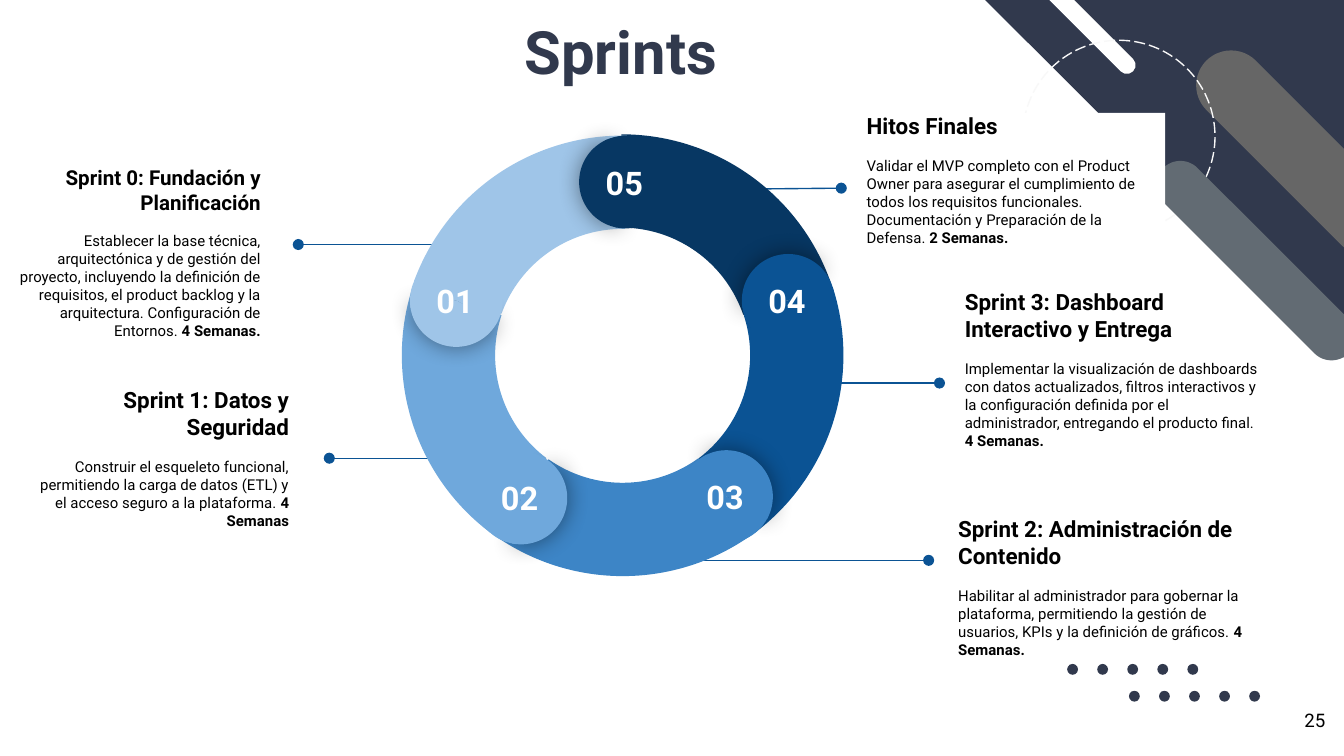
from lxml import etree
from pptx import Presentation
from pptx.dml.color import RGBColor
from pptx.enum.dml import MSO_LINE
from pptx.enum.shapes import MSO_CONNECTOR, MSO_SHAPE
from pptx.enum.text import MSO_ANCHOR, PP_ALIGN
from pptx.oxml.ns import qn
from pptx.util import Pt

FONT = "Roboto"
NAVY, WHITE, BLACK, LINE = "31394D", "FFFFFF", "000000", "0B5394"
SKY, PALE, MID, DEEP, DARK = "6FA8DC", "9FC5E8", "3D85C6", "0B5394", "073763"

# Content: heading, heading size, body, duration, box, alignment, fill, extra bottom inset
SPRINTS = [
    ("Sprint 0: Fundación y Planificación", 11,
     "Establecer la base técnica, arquitectónica y de gestión del proyecto, "
     "incluyendo la definición de requisitos, el product backlog y la "
     "arquitectura. Configuración de Entornos. ", "4 Semanas.",
     (0, 98.6, 146.9, 72.7), PP_ALIGN.RIGHT, None, 0),
    ("Sprint 1: Datos y Seguridad", 12,
     "Construir el esqueleto funcional, permitiendo la carga de datos (ETL) y "
     "el acceso seguro a la plataforma. ", "4 Semanas",
     (12.2, 208.8, 149.8, 72.7), PP_ALIGN.RIGHT, None, 0),
    ("Sprint 2: Administración de Contenido", 12,
     "Habilitar al administrador para gobernar la plataforma, permitiendo la "
     "gestión de usuarios, KPIs y la definición de gráficos. ", "4 Semanas.",
     (506.2, 277.9, 167, 72.7), PP_ALIGN.LEFT, None, 0),
    ("Hitos Finales", 12,
     "Validar el MVP completo con el Product Owner para asegurar el "
     "cumplimiento de todos los requisitos funcionales. Documentación y "
     "Preparación de la Defensa. ", "2 Semanas.",
     (457.2, 60.5, 167, 80.6), PP_ALIGN.LEFT, WHITE, 9.4),
    ("Sprint 3: Dashboard Interactivo y Entrega", 12,
     "Implementar la visualización de dashboards con datos actualizados, "
     "filtros interactivos y la configuración definida por el administrador, "
     "entregando el producto final. ", "4 Semanas.",
     (509.8, 161.3, 175.7, 72.7), PP_ALIGN.LEFT, None, 0),
]
# Leader lines: x1, y1, x2, y2
LEADERS = [
    (237.6, 131, 159.8, 131), (242.6, 245.5, 176.4, 245.5),
    (352.8, 300.2, 497.5, 300.2), (378, 101.5, 450.7, 100.8),
    (429.8, 205.2, 503.3, 205.2),
]
# Ring, back to front: label (None for an arc), left, top, rotation, colour
RING = [
    (None, 215.3, 71.3, 277, SKY), (None, 213.8, 71.3, 132, DEEP),
    (None, 213.8, 72, 60, DARK), ("04", 397.4, 136.1, 67.1, DEEP),
    (None, 214.6, 70.6, 204, MID), ("02", 254.2, 241.9, 211.1, SKY),
    (None, 214.6, 72.7, 350, PALE), ("05", 310.3, 72.7, 357.1, DARK),
    ("03", 364.3, 241.2, 139.1, MID), ("01", 219.6, 136.1, 284.1, PALE),
]
ARC_SIZE, CAP_SIZE = 238, 49.7
ARC_ADJ, CAP_ADJ, BACK_ADJ = (126.02, 168.68, 0.21), (61.9, 149.96), (40.28, 171.84)
# Corner bars: box, colour
BARS = [((625.7, 63.4, 140.4, 37.4), "666666"), ((540, 5.8, 78.5, 9.4), WHITE)]
FRONT_BAR = ((602.6, 126.7, 140.4, 25.9), "626B73")
DOT_ROWS, DOT_STEP, DOT_SIZE = [(604.8, 370.1), (571.7, 355.7)], 16.1, 5.8


def rgb(code):
    return RGBColor.from_string(code)


def add_shape(kind, box, fill, rot=0, adj=()):
    sp = s.shapes.add_shape(kind, *map(Pt, box))
    sp.shadow.inherit = False
    sp.line.fill.background()
    if fill:
        sp.fill.solid()
        sp.fill.fore_color.rgb = rgb(fill)
    else:
        sp.fill.background()
    sp.rotation = rot
    for i, value in enumerate(adj):
        sp.adjustments[i] = value
    return sp


def add_glow(sp):
    effects = sp._element.spPr.find(qn("a:effectLst"))
    shadow = etree.SubElement(effects, qn("a:outerShdw"), blurRad=str(Pt(12.3)),
                              dist="0", dir="0", rotWithShape="0")
    clr = etree.SubElement(shadow, qn("a:srgbClr"), val=BLACK)
    etree.SubElement(clr, qn("a:alpha"), val="43000")


def set_frame(tf, inset=7.2, anchor=MSO_ANCHOR.TOP, wrap=True):
    tf.word_wrap = wrap
    tf.vertical_anchor = anchor
    tf.margin_left = tf.margin_right = tf.margin_top = tf.margin_bottom = Pt(inset)


def style(r, size, color, bold=False):
    r.font.name, r.font.size, r.font.bold = FONT, Pt(size), bold
    r.font.color.rgb = rgb(color)


def add_label(text, box, size, color, align, bold=False, inset=7.2):
    tf = s.shapes.add_textbox(*map(Pt, box)).text_frame
    set_frame(tf, inset)
    p = tf.paragraphs[0]
    p.text, p.alignment = text, align
    style(p.runs[0], size, color, bold)


prs = Presentation()
prs.slide_width, prs.slide_height = Pt(720), Pt(405)
s = prs.slides.add_slide(prs.slide_layouts[5])

# Corner decoration
for x, y in DOT_ROWS:
    for i in range(5):
        add_shape(MSO_SHAPE.OVAL, (x + i * DOT_STEP, y, DOT_SIZE, DOT_SIZE), NAVY)
add_shape(MSO_SHAPE.RIGHT_TRIANGLE, (526.3, -1.4, 193.7, 193), NAVY, 180)
for box, color in BARS:
    add_shape(MSO_SHAPE.ROUNDED_RECTANGLE, box, color, 45, (0.5,))
circle = add_shape(MSO_SHAPE.OVAL, (547.9, 21.6, 103, 103), None)
circle.line.color.rgb = rgb("F8F8F8")
circle.line.width = Pt(0.75)
circle.line.dash_style = MSO_LINE.LONG_DASH
add_shape(MSO_SHAPE.ROUNDED_RECTANGLE, FRONT_BAR[0], FRONT_BAR[1], 45, (0.5,))

# Title and page number
title = s.shapes.title
title.left, title.top, title.width, title.height = map(Pt, (273.6, 10.1, 118.1, 43.2))
title.text_frame.text = "Sprints"
set_frame(title.text_frame, anchor=MSO_ANCHOR.BOTTOM, wrap=False)
p = title.text_frame.paragraphs[0]
p.alignment = PP_ALIGN.CENTER
style(p.runs[0], 32, NAVY, True)
add_label("25", (673.9, 373.7, 43.2, 31), 10, BLACK, PP_ALIGN.RIGHT)

# Sprint descriptions
for heading, size, body, duration, box, align, fill, extra in SPRINTS:
    sp = add_shape(MSO_SHAPE.RECTANGLE, box, fill) if fill else s.shapes.add_textbox(*map(Pt, box))
    tf = sp.text_frame
    set_frame(tf, anchor=MSO_ANCHOR.MIDDLE)
    tf.margin_bottom = Pt(7.2 + extra)
    tf.text = heading
    p = tf.paragraphs[0]
    p.alignment = align
    style(p.runs[0], size, BLACK, True)
    p = tf.add_paragraph()
    p.alignment, p.space_before = align, Pt(9.4)
    for text, bold in ((body, False), (duration, True)):
        r = p.add_run()
        r.text = text
        style(r, 8, BLACK, bold)

# Leader lines with a round end
for ends in LEADERS:
    c = s.shapes.add_connector(MSO_CONNECTOR.STRAIGHT, *map(Pt, ends))
    c.line.color.rgb = rgb(LINE)
    c.line.width = Pt(0.75)
    etree.SubElement(c.line._get_or_add_ln(), qn("a:tailEnd"), type="oval")
    etree.SubElement(c._element.spPr, qn("a:effectLst"))

# Ring of arcs and numbered caps
for label, x, y, rot, color in RING:
    if label is None:
        add_shape(MSO_SHAPE.BLOCK_ARC, (x, y, ARC_SIZE, ARC_SIZE), color, rot, ARC_ADJ)
        continue
    box = (x, y, CAP_SIZE, CAP_SIZE)
    add_glow(add_shape(MSO_SHAPE.PIE, box, color, rot, CAP_ADJ))
    add_shape(MSO_SHAPE.PIE, box, color, (rot + 179.3) % 360, BACK_ADJ)
    add_label(label, (x + 2.2, y + 6.5, 43.9, 23), 17.4, WHITE, PP_ALIGN.CENTER, True, 7.9)

prs.save("out.pptx")
